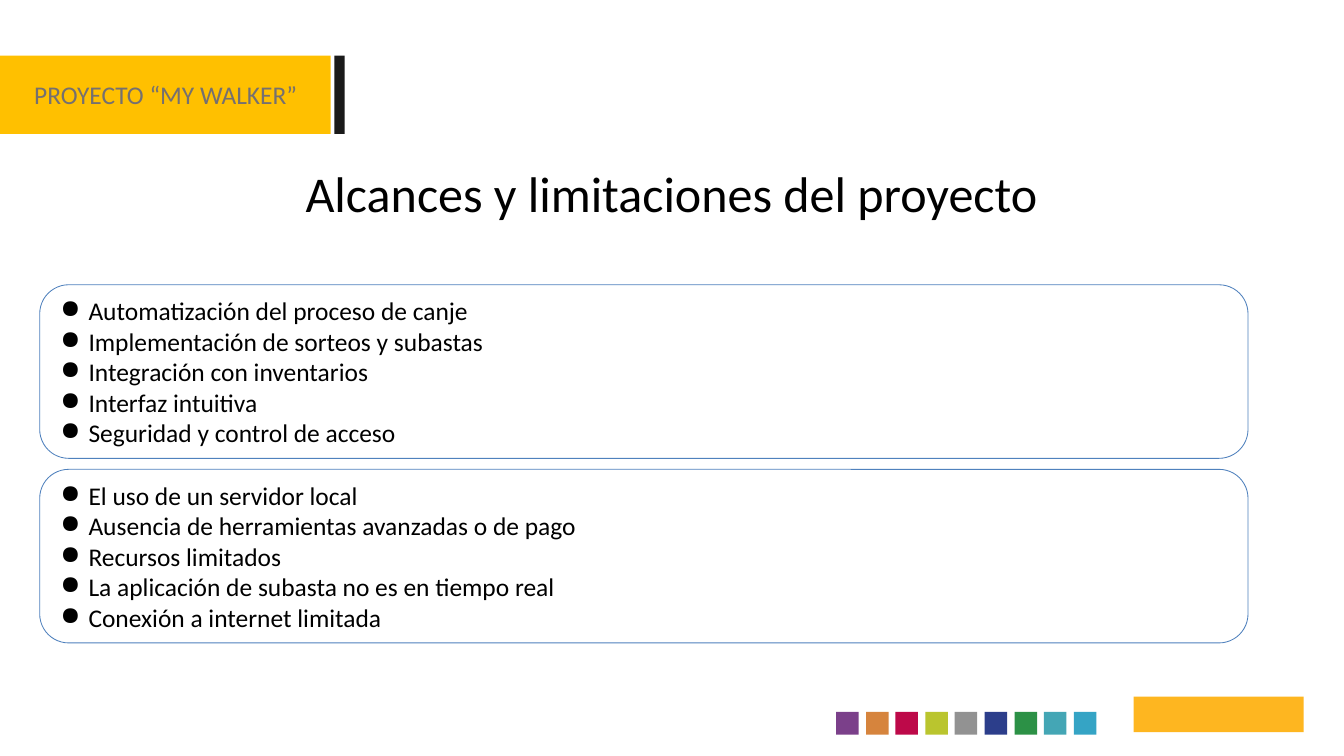
from dataclasses import dataclass
from typing import Any

from lxml.etree import SubElement
from pptx import Presentation
from pptx.dml.color import RGBColor
from pptx.enum.shapes import MSO_SHAPE
from pptx.enum.text import MSO_ANCHOR, MSO_AUTO_SIZE, PP_ALIGN
from pptx.oxml.ns import qn
from pptx.util import Inches, Pt


@dataclass(frozen=True)
class Theme:
    font: str = "Calibri"
    title_size: int = 59
    body_size: int = 30
    ink: str = "000000"
    muted: str = "757070"
    paper: str = "FFFFFF"
    outline: str = "4F81BD"
    banner: str = "FFC000"
    banner_edge: str = "1A1A1A"
    emblem: str = "FEB620"
    swatches: tuple[str, ...] = (
        "7B408A", "D6843D", "BD0949", "BAC52E", "929292",
        "2C3E8B", "2C9146", "44A6B5", "35A4C5",
    )


@dataclass(frozen=True)
class Box:
    left: float
    top: float
    width: float
    height: float

    def lengths(self) -> tuple[int, ...]:
        return tuple(Inches(v) for v in (self.left, self.top, self.width, self.height))


@dataclass(frozen=True)
class Block:
    box: Box
    fill: str


@dataclass(frozen=True)
class Panel:
    box: Box
    points: tuple[str, ...]


THEME = Theme()
SLIDE_WIDTH, SLIDE_HEIGHT = 21.99, 12.37
SWATCH_LEFT, SWATCH_TOP, SWATCH_SIZE, SWATCH_STEP = 13.68, 11.65, 0.37, 0.486
PANEL_TOP, PANEL_STEP = 4.66, 3.02
FRAME_FORMAT = {
    "word_wrap": True,
    "auto_size": MSO_AUTO_SIZE.NONE,
    "margin_left": Inches(0.16),
    "margin_right": Inches(0.16),
    "margin_top": Inches(0.08),
    "margin_bottom": Inches(0.08),
}

SCOPE = (
    "Automatización del proceso de canje",
    "Implementación de sorteos y subastas",
    "Integración con inventarios",
    "Interfaz intuitiva",
    "Seguridad y control de acceso",
)
LIMITS = (
    "El uso de un servidor local",
    "Ausencia de herramientas avanzadas o de pago",
    "Recursos limitados",
    "La aplicación de subasta no es en tiempo real",
    "Conexión a internet limitada",
)


def apply_format(target: Any, values: dict[str, Any]) -> None:
    for name, value in values.items():
        setattr(target, name, value)


def write(paragraph: Any, text: str, size: int, color: str, align: PP_ALIGN) -> None:
    paragraph.alignment = align
    run = paragraph.add_run()
    run.text = text
    apply_format(run.font, {"name": THEME.font, "size": Pt(size)})
    run.font.color.rgb = RGBColor.from_string(color)


def add_bullet(paragraph: Any) -> None:
    properties = paragraph._p.get_or_add_pPr()
    properties.set("marL", str(Inches(0.5)))
    properties.set("indent", str(Inches(-0.46)))
    bullet_color = SubElement(properties, qn("a:buClr"))
    SubElement(bullet_color, qn("a:srgbClr"), val=THEME.ink)
    SubElement(properties, qn("a:buChar"), char="●")


def draw_block(slide: Any, block: Block, kind: MSO_SHAPE = MSO_SHAPE.RECTANGLE) -> Any:
    shape = slide.shapes.add_shape(kind, *block.box.lengths())
    shape.shadow.inherit = False
    shape.fill.solid()
    shape.fill.fore_color.rgb = RGBColor.from_string(block.fill)
    shape.line.fill.background()
    return shape


def draw_panel(slide: Any, panel: Panel) -> None:
    card = draw_block(slide, Block(panel.box, THEME.paper), MSO_SHAPE.ROUNDED_RECTANGLE)
    card.adjustments[0] = 0.167
    card.line.color.rgb = RGBColor.from_string(THEME.outline)
    card.line.width = Pt(1)
    frame = card.text_frame
    apply_format(frame, FRAME_FORMAT | {"vertical_anchor": MSO_ANCHOR.MIDDLE})
    for index, point in enumerate(panel.points):
        paragraph = frame.add_paragraph() if index else frame.paragraphs[0]
        add_bullet(paragraph)
        write(paragraph, point, THEME.body_size, THEME.ink, PP_ALIGN.LEFT)


def main() -> None:
    deck = Presentation()
    apply_format(deck, {"slide_width": Inches(SLIDE_WIDTH), "slide_height": Inches(SLIDE_HEIGHT)})
    slide = deck.slides.add_slide(deck.slide_layouts[5])

    # Banner, emblem and colour strip
    blocks = [
        Block(Box(0, 0.91, 5.41, 1.28), THEME.banner),
        Block(Box(5.47, 0.91, 0.17, 1.28), THEME.banner_edge),
        Block(Box(18.55, 11.4, 2.78, 0.58), THEME.emblem),
    ]
    for index, color in enumerate(THEME.swatches):
        left = round(SWATCH_LEFT + index * SWATCH_STEP, 2)
        blocks.append(Block(Box(left, SWATCH_TOP, SWATCH_SIZE, SWATCH_SIZE), color))
    for block in blocks:
        draw_block(slide, block)

    # Project name
    project = slide.shapes.add_textbox(*Box(0.4, 1.21, 4.67, 0.67).lengths())
    apply_format(project.text_frame, FRAME_FORMAT)
    write(project.text_frame.paragraphs[0], "PROYECTO “MY WALKER”",
          THEME.body_size, THEME.muted, PP_ALIGN.LEFT)

    # Title
    title = slide.shapes.title
    left, top, width, height = Box(0, 2.58, SLIDE_WIDTH, 1.16).lengths()
    apply_format(title, {"left": left, "top": top, "width": width, "height": height})
    apply_format(title.text_frame, FRAME_FORMAT | {"vertical_anchor": MSO_ANCHOR.TOP})
    write(title.text_frame.paragraphs[0], "Alcances y limitaciones del proyecto",
          THEME.title_size, THEME.ink, PP_ALIGN.CENTER)

    # Scope and limits
    for index, points in enumerate((SCOPE, LIMITS)):
        box = Box(0.65, PANEL_TOP + index * PANEL_STEP, 19.77, 2.84)
        draw_panel(slide, Panel(box, points))

    deck.save("out.pptx")


if __name__ == "__main__":
    main()
